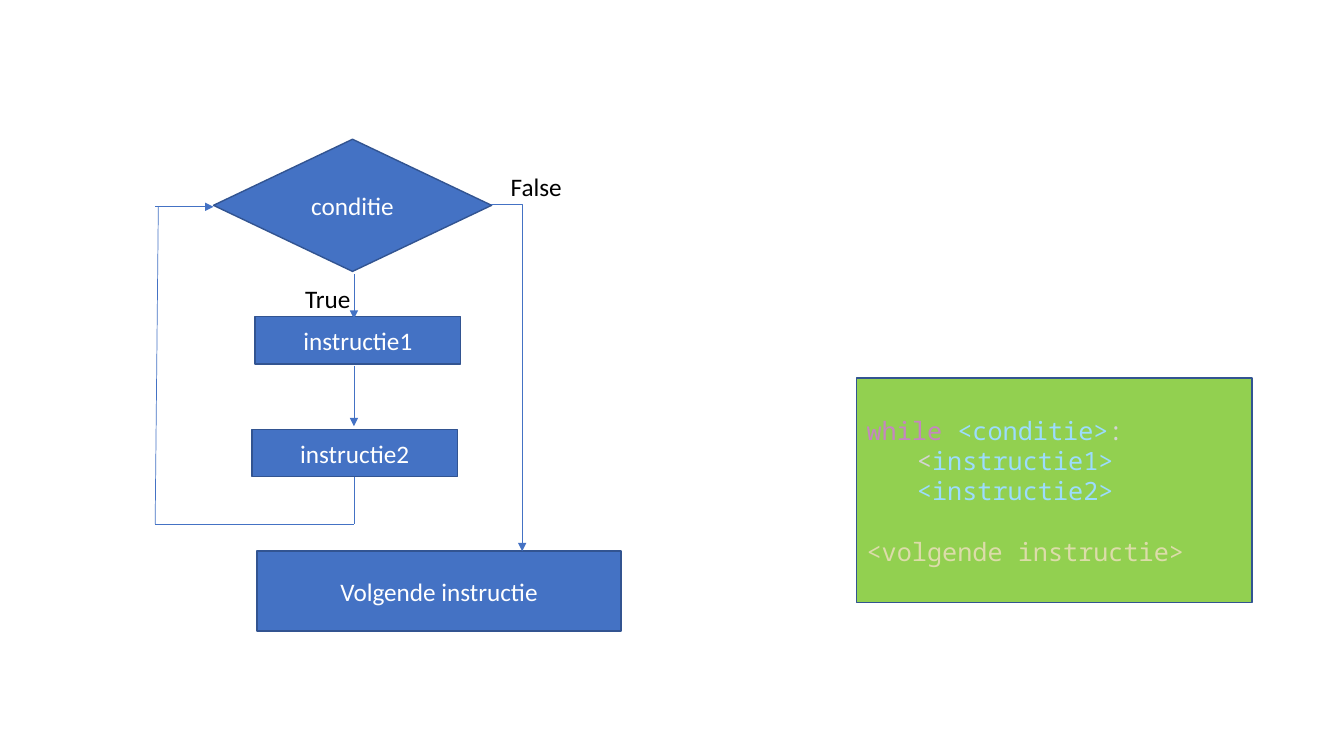
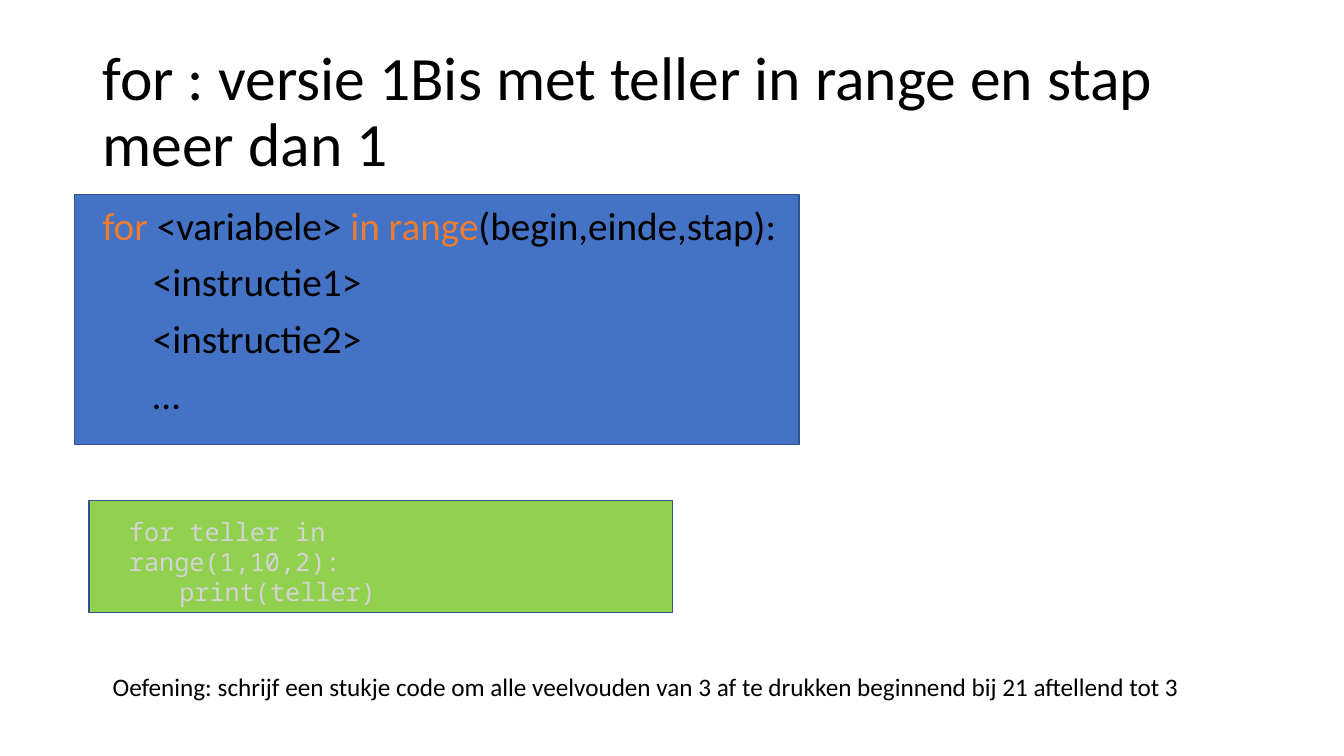
from dataclasses import dataclass
from typing import Any, NamedTuple

from lxml.etree import SubElement
from pptx import Presentation
from pptx.dml.color import RGBColor
from pptx.enum.shapes import MSO_CONNECTOR, MSO_SHAPE
from pptx.enum.text import MSO_ANCHOR, MSO_AUTO_SIZE, PP_ALIGN
from pptx.oxml.ns import qn
from pptx.util import Cm, Pt


@dataclass(frozen=True)
class Theme:
    blue: str = "4472C4"
    outline: str = "325491"
    green: str = "92D050"
    white: str = "FFFFFF"
    black: str = "000000"
    orange: str = "ED7D31"
    keyword: str = "C586C0"
    name: str = "9CDCFE"
    plain: str = "D4D4D4"
    call: str = "DCDCAA"
    sans: str = "Calibri"
    mono: str = "Noto Sans Mono"
    title_size: int = 44
    body_size: int = 28
    text_size: int = 18
    outline_width: float = 1
    flow_width: float = 0.5


THEME = Theme()


class Area(NamedTuple):
    left: float
    top: float
    width: float
    height: float


class Point(NamedTuple):
    x: float
    y: float


class Span(NamedTuple):
    text: str
    color: str


class Step(NamedTuple):
    text: str
    area: Area
    outline: MSO_SHAPE = MSO_SHAPE.RECTANGLE


class Flow(NamedTuple):
    start: Point
    end: Point
    arrow: bool = False
    preset: str = "line"


class Label(NamedTuple):
    text: str
    area: Area
    wrap: bool = True


Lines = list[list[Span]]

PLAIN = {"alignment": PP_ALIGN.LEFT}
CENTRED = {"alignment": PP_ALIGN.CENTER}
TITLE = PLAIN | {"line_spacing": 0.9}
BODY = TITLE | {"space_before": Pt(10)}

STEM, BRANCH = 8.92, 13.16
LOOP_TOP, LOOP_BOTTOM = 5.21, 13.21
LOOP_LEFT, DECISION_LEFT = 3.91, 5.38

STEPS = [
    Step("conditie", Area(DECISION_LEFT, 3.51, 7.01, 3.33), MSO_SHAPE.FLOWCHART_DECISION),
    Step("instructie1", Area(6.43, 7.98, 5.18, 1.19)),
    Step("instructie2", Area(6.35, 10.82, 5.18, 1.19)),
    Step("Volgende instructie", Area(6.48, 13.89, 9.17, 2.01)),
]
FLOWS = [
    Flow(Point(STEM, 6.91), Point(STEM, 8.03), True),
    Flow(Point(STEM, 9.22), Point(STEM, 10.74), True),
    Flow(Point(STEM, 12.01), Point(STEM, LOOP_BOTTOM)),
    Flow(Point(LOOP_LEFT, LOOP_BOTTOM), Point(STEM, LOOP_BOTTOM)),
    Flow(Point(LOOP_LEFT, LOOP_BOTTOM), Point(3.99, LOOP_TOP)),
    Flow(Point(LOOP_LEFT, LOOP_TOP), Point(DECISION_LEFT, LOOP_TOP), True),
    Flow(Point(12.37, 5.16), Point(BRANCH, 13.89), True, "bentConnector2"),
]
BRANCH_LABELS = [
    Label("True", Area(7.44, 7.01, 1.68, 1.02), False),
    Label("False", Area(12.62, 4.19, 2.54, 1.02)),
]
WHILE_CODE = [
    [Span("while ", THEME.keyword), Span("<conditie>", THEME.name), Span(":", THEME.plain)],
    [Span("\t<", THEME.plain), Span("instructie1>", THEME.name)],
    [Span("\t<instructie2>", THEME.name)],
    [Span("<volgende instructie>", THEME.call)],
]
FOR_SYNTAX = [
    [
        Span("for", THEME.orange),
        Span(" <variabele> ", THEME.black),
        Span("in range", THEME.orange),
        Span("(begin,einde,stap):", THEME.black),
    ],
    *([Span(f"\t{line}", THEME.black)] for line in ("<instructie1>", "<instructie2>", "…")),
]
FOR_CODE = [
    [Span("for teller in range(1,10,2):", THEME.plain)],
    [Span("\tprint(teller)", THEME.plain)],
]
EXERCISE = Label(
    "Oefening: schrijf een stukje code om alle veelvouden van 3 af te drukken "
    "beginnend bij 21 aftellend tot 3",
    Area(2.59, 16.79, 27.89, 1.02),
    False,
)


def apply(target: Any, values: dict[str, Any]) -> None:
    for attribute, value in values.items():
        setattr(target, attribute, value)


def lengths(area: Area) -> list[Cm]:
    return [Cm(value) for value in area]


def place(shape: Any, area: Area) -> None:
    apply(shape, dict(zip(Area._fields, lengths(area))))


def write(
    shape: Any,
    lines: Lines,
    layout: dict[str, Any],
    size: int = THEME.text_size,
    font: str = THEME.sans,
    anchor: MSO_ANCHOR = MSO_ANCHOR.MIDDLE,
    wrap: bool = True,
) -> None:
    frame = shape.text_frame
    apply(frame, {"auto_size": MSO_AUTO_SIZE.NONE, "word_wrap": wrap, "vertical_anchor": anchor})
    for index, spans in enumerate(lines):
        paragraph = frame.add_paragraph() if index else frame.paragraphs[0]
        apply(paragraph, layout)
        for span in spans:
            run = paragraph.add_run()
            run.text = span.text
            apply(run.font, {"size": Pt(size), "name": font})
            run.font.color.rgb = RGBColor.from_string(span.color)


def add_box(slide: Any, area: Area, fill: str, outline: MSO_SHAPE = MSO_SHAPE.RECTANGLE) -> Any:
    box = slide.shapes.add_shape(outline, *lengths(area))
    box.shadow.inherit = False
    box.fill.solid()
    box.fill.fore_color.rgb = RGBColor.from_string(fill)
    box.line.color.rgb = RGBColor.from_string(THEME.outline)
    box.line.width = Pt(THEME.outline_width)
    return box


def add_step(slide: Any, step: Step) -> None:
    box = add_box(slide, step.area, THEME.blue, step.outline)
    write(box, [[Span(step.text, THEME.white)]], CENTRED)


def add_text(slide: Any, area: Area, lines: Lines, font: str, wrap: bool) -> None:
    box = slide.shapes.add_textbox(*lengths(area))
    write(box, lines, PLAIN, font=font, anchor=MSO_ANCHOR.TOP, wrap=wrap)


def add_label(slide: Any, label: Label) -> None:
    add_text(slide, label.area, [[Span(label.text, THEME.black)]], THEME.sans, label.wrap)


def add_flow(slide: Any, flow: Flow) -> None:
    ends = [Cm(value) for value in (*flow.start, *flow.end)]
    connector = slide.shapes.add_connector(MSO_CONNECTOR.STRAIGHT, *ends)
    connector.line.color.rgb = RGBColor.from_string(THEME.blue)
    connector.line.width = Pt(THEME.flow_width)
    properties = connector.element.spPr
    properties.find(qn("a:prstGeom")).set("prst", flow.preset)
    if flow.arrow:
        SubElement(properties.find(qn("a:ln")), qn("a:tailEnd"), type="triangle")
    SubElement(properties, qn("a:effectLst"))


def remove_bullets(shape: Any) -> None:
    for paragraph in shape.text_frame.paragraphs:
        properties = paragraph._p.get_or_add_pPr()
        for indent in ("marL", "indent"):
            properties.set(indent, "0")
        SubElement(properties, qn("a:buNone"))


def build_while(deck: Any) -> None:
    slide = deck.slides.add_slide(deck.slide_layouts[6])
    for step in STEPS:
        add_step(slide, step)
    for flow in FLOWS:
        add_flow(slide, flow)
    for label in BRANCH_LABELS:
        add_label(slide, label)
    code = add_box(slide, Area(21.59, 9.53, 9.96, 5.66), THEME.green)
    write(code, WHILE_CODE, PLAIN, font=THEME.mono)
    code.text_frame.paragraphs[-1].space_before = Pt(21.6)


def build_for(deck: Any) -> None:
    slide = deck.slides.add_slide(deck.slide_layouts[1])
    title, syntax = slide.placeholders
    place(title, Area(2.33, 1.02, 29.21, 3.68))
    heading = Span("for : versie 1Bis met teller in range en stap meer dan 1", THEME.black)
    write(title, [[heading]], TITLE, THEME.title_size)
    place(syntax, Area(2.33, 5.08, 19.53, 6.15))
    write(syntax, FOR_SYNTAX, BODY, THEME.body_size, anchor=MSO_ANCHOR.TOP)
    remove_bullets(syntax)
    panel = add_box(slide, Area(1.88, 4.9, 18.26, 6.3), THEME.blue)
    title.element.addprevious(panel.element)
    add_box(slide, Area(2.24, 12.62, 14.71, 2.82), THEME.green)
    add_text(slide, Area(3, 12.88, 10.36, 2.57), FOR_CODE, THEME.mono, True)
    add_label(slide, EXERCISE)


def main() -> None:
    deck = Presentation()
    apply(deck, {"slide_width": Cm(33.87), "slide_height": Cm(19.05)})
    build_while(deck)
    build_for(deck)
    deck.save("out.pptx")


if __name__ == "__main__":
    main()
